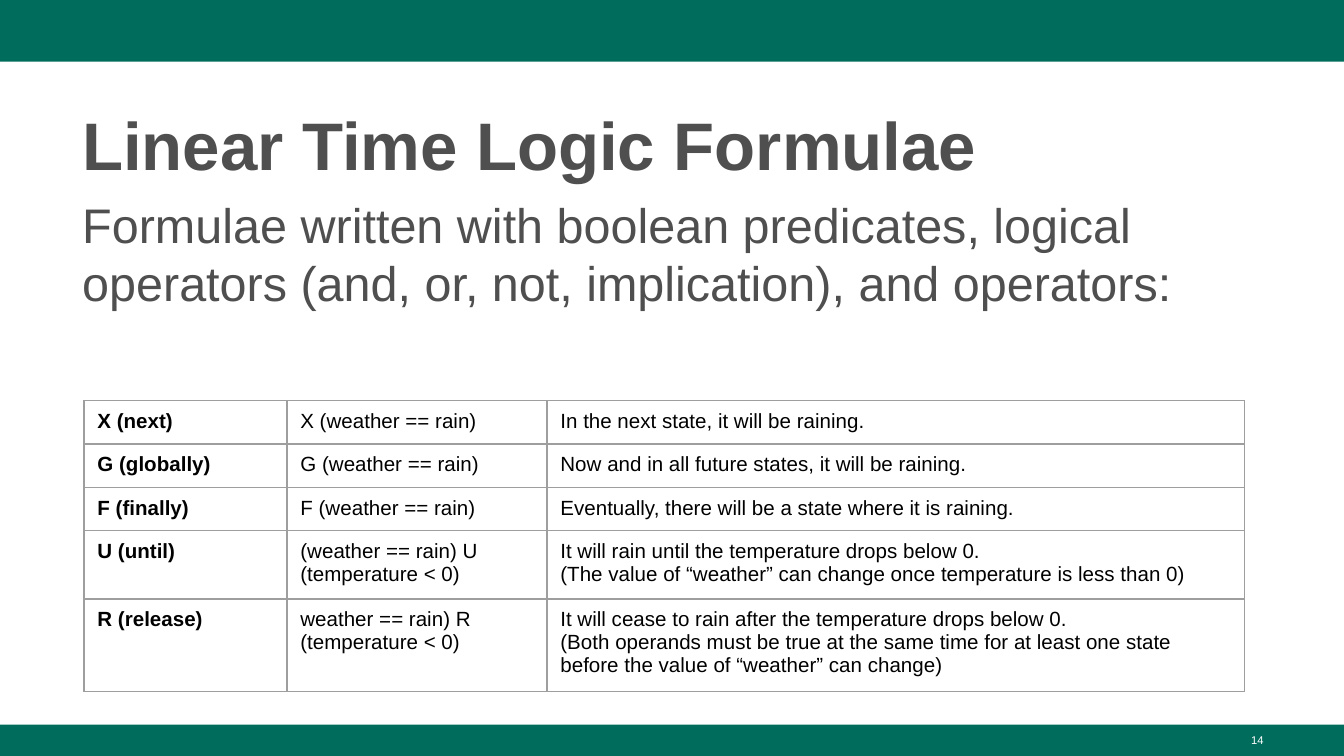
"""Build the slide on linear time logic formulae, on a grid of 100 columns."""
from dataclasses import dataclass

import pptx
import pptx.dml.color
import pptx.enum.shapes
import pptx.enum.text
import pptx.oxml
import pptx.oxml.ns
import pptx.util

WIDTH = pptx.util.Inches(10)
HEIGHT = WIDTH * 9 // 16
UNIT = WIDTH // 100
GREEN, GRAY, BLACK, WHITE, BORDER = "006C5C", "4F4F4F", "000000", "FFFFFF", "9E9E9E"
ALIGN = pptx.enum.text.PP_ALIGN
ANCHOR = pptx.enum.text.MSO_ANCHOR


@dataclass
class Area:
    """A rectangle in grid columns and rows."""
    col: float
    row: float
    cols: float
    rows: float

    def emu(self) -> list[int]:
        """Return left, top, width and height as lengths."""
        return [grid(v) for v in (self.col, self.row, self.cols, self.rows)]


@dataclass
class Style:
    """The look of a run of text and its paragraph."""
    size: float
    color: str
    bold: bool = False
    align: ALIGN = ALIGN.LEFT
    spacing: float = 1.0


@dataclass
class Label:
    """A text box with its place and look."""
    text: str
    area: Area
    style: Style
    anchor: ANCHOR = ANCHOR.TOP


@dataclass
class Operator:
    """A table row for one temporal operator."""
    name: str
    formula: str
    meaning: str


BANDS = [Area(0, 0, 100, 4.6), Area(0, 53.92, 100, 2.33)]

LABELS = [
    Label("Linear Time Logic Formulae", Area(5.13, 6.9, 89.9, 7.3),
          Style(36, GRAY, bold=True, spacing=1.08), ANCHOR.BOTTOM),
    Label("Formulae written with boolean predicates, logical operators "
          "(and, or, not, implication), and operators:",
          Area(5.13, 14, 89.9, 38.1), Style(26, GRAY)),
    Label("14", Area(71.7, 53.9, 23.3, 2.3), Style(6, WHITE, align=ALIGN.RIGHT), ANCHOR.MIDDLE),
]

OPERATORS = [
    Operator("X (next)", "X (weather == rain)", "In the next state, it will be raining."),
    Operator("G (globally)", "G (weather == rain)",
             "Now and in all future states, it will be raining."),
    Operator("F (finally)", "F (weather == rain)",
             "Eventually, there will be a state where it is raining."),
    Operator("U (until)", "(weather == rain) U (temperature < 0)",
             "It will rain until the temperature drops below 0.\n"
             "(The value of “weather” can change once temperature is less than 0)"),
    Operator("R (release)", "weather == rain) R (temperature < 0)",
             "It will cease to rain after the temperature drops below 0.\n"
             "(Both operands must be true at the same time for at least one state "
             "before the value of “weather” can change)"),
]
COLUMN_WIDTHS = [15.1, 19.35, 51.9]
ROW_HEIGHT = 3.1


def grid(units: float) -> int:
    """Turn grid units into a length."""
    return round(units * UNIT)


def rgb(value: str) -> pptx.dml.color.RGBColor:
    """Turn a hex string into a colour."""
    return pptx.dml.color.RGBColor.from_string(value)


def write(tf, text: str, style: Style) -> None:
    """Set the text of a frame and format its runs."""
    tf.text = text
    tf.word_wrap = True
    for p in tf.paragraphs:
        p.alignment = style.align
        p.line_spacing = style.spacing
        for r in p.runs:
            r.font.name = "Arial"
            r.font.size = pptx.util.Pt(style.size)
            r.font.bold = style.bold
            r.font.color.rgb = rgb(style.color)


def draw_band(s, area: Area) -> None:
    """Draw a solid band across the slide."""
    sp = s.shapes.add_shape(pptx.enum.shapes.MSO_SHAPE.RECTANGLE, *area.emu())
    sp.shadow.inherit = False
    sp.fill.solid()
    sp.fill.fore_color.rgb = rgb(GREEN)
    sp.line.fill.background()


def draw_label(s, label: Label) -> None:
    """Draw a text box."""
    tf = s.shapes.add_textbox(*label.area.emu()).text_frame
    tf.vertical_anchor = label.anchor
    write(tf, label.text, label.style)


def outline_cell(cell) -> None:
    """Leave a cell unfilled with a thin border on each side."""
    cell.fill.background()
    props = cell._tc.get_or_add_tcPr()
    for i, side in enumerate(("lnL", "lnR", "lnT", "lnB")):
        props.insert(i, pptx.oxml.parse_xml(
            f'<a:{side} {pptx.oxml.ns.nsdecls("a")} w="{pptx.util.Pt(0.75)}">'
            f'<a:solidFill><a:srgbClr val="{BORDER}"/></a:solidFill></a:{side}>'))


def draw_table(s, operators: list[Operator], col: float, row: float) -> None:
    """Draw the table of operators, whose rows grow with their text."""
    area = Area(col, row, sum(COLUMN_WIDTHS), ROW_HEIGHT * len(operators))
    table = s.shapes.add_table(len(operators), len(COLUMN_WIDTHS), *area.emu()).table
    table.first_row = table.horz_banding = False
    for column, width in zip(table.columns, COLUMN_WIDTHS):
        column.width = grid(width)
    for line, op in zip(table.rows, operators):
        line.height = grid(ROW_HEIGHT)
        for i, (cell, text) in enumerate(zip(line.cells, (op.name, op.formula, op.meaning))):
            cell.margin_left = cell.margin_right = grid(1)
            cell.margin_top = cell.margin_bottom = grid(0.7)
            write(cell.text_frame, text, Style(11, BLACK, bold=i == 0))
            outline_cell(cell)


def main() -> None:
    """Build and save the slide."""
    prs = pptx.Presentation()
    prs.slide_width, prs.slide_height = WIDTH, HEIGHT
    s = prs.slides.add_slide(prs.slide_layouts[6])
    for band in BANDS:
        draw_band(s, band)
    for label in LABELS:
        draw_label(s, label)
    draw_table(s, OPERATORS, 6.25, 29.8)
    prs.save("out.pptx")


if __name__ == "__main__":
    main()
